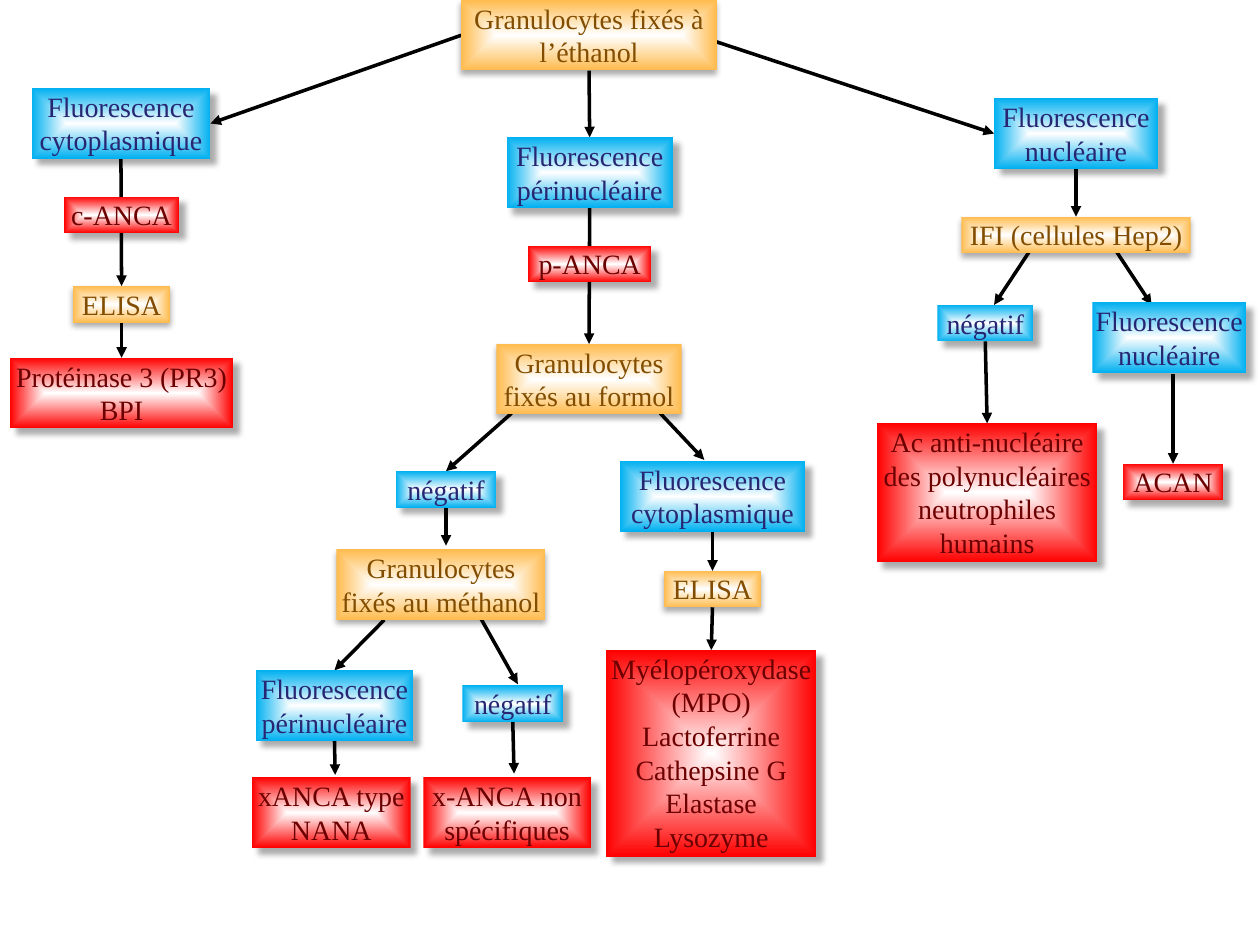
"""Build the decision tree for ANCA detection by immunofluorescence."""
from typing import NamedTuple

from lxml import etree
from pptx import Presentation
from pptx.dml.color import RGBColor
from pptx.enum.shapes import MSO_CONNECTOR, MSO_SHAPE
from pptx.enum.text import MSO_ANCHOR, MSO_AUTO_SIZE, PP_ALIGN
from pptx.oxml import parse_xml
from pptx.oxml.ns import nsdecls, qn
from pptx.util import Emu, Pt

RECTANGLE = MSO_SHAPE.RECTANGLE
STRAIGHT = MSO_CONNECTOR.STRAIGHT
CENTER = PP_ALIGN.CENTER
TOP_ANCHOR = MSO_ANCHOR.TOP
FIT_SHAPE = MSO_AUTO_SIZE.SHAPE_TO_FIT_TEXT

EMU_PER_PX = 9144
FONT = "Times New Roman"
TEXT_SIZE = Pt(16)
TOP, LEFT, BOTTOM, RIGHT = range(4)
ONE_LINE, TWO_LINES = 29, 56

BLACK = RGBColor(0x00, 0x00, 0x00)
WHITE = RGBColor(0xFF, 0xFF, 0xFF)
ORANGE = RGBColor(0xFF, 0xBB, 0x4D)
BROWN = RGBColor(0x82, 0x4D, 0x00)
RED = RGBColor(0xFF, 0x00, 0x00)
DARK_RED = RGBColor(0x6C, 0x00, 0x00)
BLUE = RGBColor(0x00, 0xB0, 0xF0)
NAVY = RGBColor(0x26, 0x26, 0x73)


class Style(NamedTuple):
    edge: RGBColor
    text: RGBColor
    shadow_distance: float
    shadow_angle: int


class Box(NamedTuple):
    style: Style
    left: int
    top: int
    width: int
    height: int
    text: str
    side_margin: int = 4


class Point(NamedTuple):
    x: int
    y: int


class Site(NamedTuple):
    box: str
    side: int


class Arrow(NamedTuple):
    start: Point | Site
    end: Point | Site


TEST = Style(ORANGE, BROWN, 2.2, 90)
FINDING = Style(BLUE, NAVY, 5, 45)
RESULT = Style(RED, DARK_RED, 5, 45)

BOXES = {
    "ethanol": Box(TEST, 366, 0, 203, TWO_LINES, "Granulocytes fixés à l’éthanol"),
    "formol": Box(TEST, 394, 273, 147, TWO_LINES, "Granulocytes fixés au formol"),
    "c_elisa": Box(TEST, 58, 227, 77, ONE_LINE, "ELISA"),
    "p_elisa": Box(TEST, 527, 453, 77, ONE_LINE, "ELISA"),
    "anti_nuclear": Box(RESULT, 696, 336, 175, 110,
                        "Ac anti-nucléaire des polynucléaires neutrophiles humains"),
    "acan": Box(RESULT, 891, 368, 80, ONE_LINE, "ACAN"),
    "p_anca": Box(RESULT, 419, 195, 98, ONE_LINE, "p-ANCA"),
    "c_anca": Box(RESULT, 51, 156, 91, ONE_LINE, "c-ANCA"),
    "nana": Box(RESULT, 200, 617, 126, TWO_LINES, "xANCA type NANA"),
    "proteinase": Box(RESULT, 8, 284, 177, TWO_LINES, "Protéinase 3 (PR3)\nBPI"),
    "unspecific": Box(RESULT, 336, 617, 133, TWO_LINES, "x-ANCA non spécifiques"),
    "mpo": Box(RESULT, 481, 516, 167, 164,
               "Myélopéroxydase (MPO)\nLactoferrine\nCathepsine G\nElastase\nLysozyme", 2),
    "formol_cytoplasmic": Box(FINDING, 492, 366, 147, TWO_LINES, "Fluorescence cytoplasmique"),
    "hep2_nuclear": Box(FINDING, 867, 240, 122, TWO_LINES, "Fluorescence nucléaire", 2),
    "perinuclear": Box(FINDING, 402, 109, 132, TWO_LINES, "Fluorescence périnucléaire"),
    "nuclear": Box(FINDING, 789, 78, 130, TWO_LINES, "Fluorescence nucléaire"),
    "hep2_negative": Box(FINDING, 744, 242, 76, ONE_LINE, "négatif"),
    "formol_negative": Box(FINDING, 314, 374, 80, ONE_LINE, "négatif"),
    "methanol_negative": Box(FINDING, 367, 544, 80, ONE_LINE, "négatif"),
    "methanol_perinuclear": Box(FINDING, 203, 532, 125, TWO_LINES,
                                "Fluorescence périnucléaire", 2),
    "cytoplasmic": Box(FINDING, 25, 70, 142, TWO_LINES, "Fluorescence cytoplasmique"),
    "hep2": Box(TEST, 763, 172, 182, ONE_LINE, "IFI (cellules Hep2)"),
    "methanol": Box(TEST, 267, 436, 166, TWO_LINES, "Granulocytes fixés au méthanol", 2),
}

ARROWS = [
    Arrow(Site("ethanol", LEFT), Site("cytoplasmic", RIGHT)),
    Arrow(Site("ethanol", BOTTOM), Site("perinuclear", TOP)),
    Arrow(Point(562, 31), Site("nuclear", LEFT)),
    Arrow(Site("cytoplasmic", BOTTOM), Site("c_elisa", TOP)),
    Arrow(Site("c_elisa", BOTTOM), Site("proteinase", TOP)),
    Arrow(Site("perinuclear", BOTTOM), Site("formol", TOP)),
    Arrow(Point(406, 328), Site("formol_negative", TOP)),
    Arrow(Point(524, 328), Point(559, 365)),
    Arrow(Site("formol_negative", BOTTOM), Point(354, 433)),
    Arrow(Site("formol_cytoplasmic", BOTTOM), Site("p_elisa", TOP)),
    Arrow(Site("p_elisa", BOTTOM), Site("mpo", TOP)),
    Arrow(Point(305, 492), Site("methanol_perinuclear", TOP)),
    Arrow(Point(380, 488), Point(411, 543)),
    Arrow(Site("methanol_perinuclear", BOTTOM), Point(266, 615)),
    Arrow(Site("methanol_negative", BOTTOM), Point(408, 614)),
    Arrow(Site("nuclear", BOTTOM), Site("hep2", TOP)),
    Arrow(Point(820, 195), Point(789, 242)),
    Arrow(Point(883, 195), Point(914, 242)),
    Arrow(Site("hep2_negative", BOTTOM), Site("anti_nuclear", TOP)),
    Arrow(Point(931, 297), Site("acan", TOP)),
]


def px(length: int) -> Emu:
    """Turn px into EMU."""
    return Emu(length * EMU_PER_PX)


def paint(shape, style: Style) -> None:
    """Give a shape its glowing gradient and soft shadow."""
    properties = shape.element.spPr
    properties.append(parse_xml(
        f'<a:gradFill {nsdecls("a")} rotWithShape="1"><a:gsLst>'
        f'<a:gs pos="0"><a:srgbClr val="{WHITE}"/></a:gs>'
        f'<a:gs pos="100000"><a:srgbClr val="{style.edge}"/></a:gs></a:gsLst>'
        '<a:path path="shape"><a:fillToRect l="50000" t="50000" r="50000" b="50000"/></a:path>'
        '</a:gradFill>'))
    shape.line.fill.background()
    shape.shadow.inherit = False
    properties.find(qn("a:effectLst")).append(parse_xml(
        f'<a:outerShdw {nsdecls("a")} blurRad="{Pt(3.5)}" dist="{Pt(style.shadow_distance)}" '
        f'dir="{style.shadow_angle * 60000}" algn="ctr" rotWithShape="0">'
        f'<a:srgbClr val="{BLACK}"><a:alpha val="32000"/></a:srgbClr></a:outerShdw>'))


def draw_box(slide, box: Box):
    """Draw one box with a paragraph for each line of its text."""
    shape = slide.shapes.add_shape(
        RECTANGLE, px(box.left), px(box.top), px(box.width), px(box.height))
    paint(shape, box.style)
    frame = shape.text_frame
    frame.word_wrap = True
    frame.auto_size = FIT_SHAPE
    frame.vertical_anchor = TOP_ANCHOR
    frame.margin_left = frame.margin_right = px(box.side_margin)
    frame.margin_top = frame.margin_bottom = px(1)
    for index, line in enumerate(box.text.split("\n")):
        paragraph = frame.add_paragraph() if index else frame.paragraphs[0]
        paragraph.alignment = CENTER
        run = paragraph.add_run()
        run.text = line
        run.font.name = FONT
        run.font.size = TEXT_SIZE
        run.font.color.rgb = box.style.text
    return shape


def draw_arrow(slide, arrow: Arrow, shapes: dict) -> None:
    """Draw one arrow behind the boxes and join its ends to their sides."""
    connector = slide.shapes.add_connector(STRAIGHT, 0, 0, 0, 0)
    if isinstance(arrow.start, Site):
        connector.begin_connect(shapes[arrow.start.box], arrow.start.side)
    else:
        connector.begin_x, connector.begin_y = map(px, arrow.start)
    if isinstance(arrow.end, Site):
        connector.end_connect(shapes[arrow.end.box], arrow.end.side)
    else:
        connector.end_x, connector.end_y = map(px, arrow.end)
    connector.line.color.rgb = BLACK
    connector.line.width = Pt(2)
    properties = connector.element.spPr
    etree.SubElement(properties.find(qn("a:ln")), qn("a:tailEnd"), type="triangle")
    etree.SubElement(properties, qn("a:effectLst"))
    slide.shapes.element.insert(2, connector.element)


def main() -> None:
    """Build and save the presentation."""
    presentation = Presentation()
    presentation.slide_width, presentation.slide_height = px(1000), px(750)
    slide = presentation.slides.add_slide(presentation.slide_layouts[6])
    shapes = {name: draw_box(slide, box) for name, box in BOXES.items()}
    for arrow in ARROWS:
        draw_arrow(slide, arrow, shapes)
    presentation.save("out.pptx")


if __name__ == "__main__":
    main()
